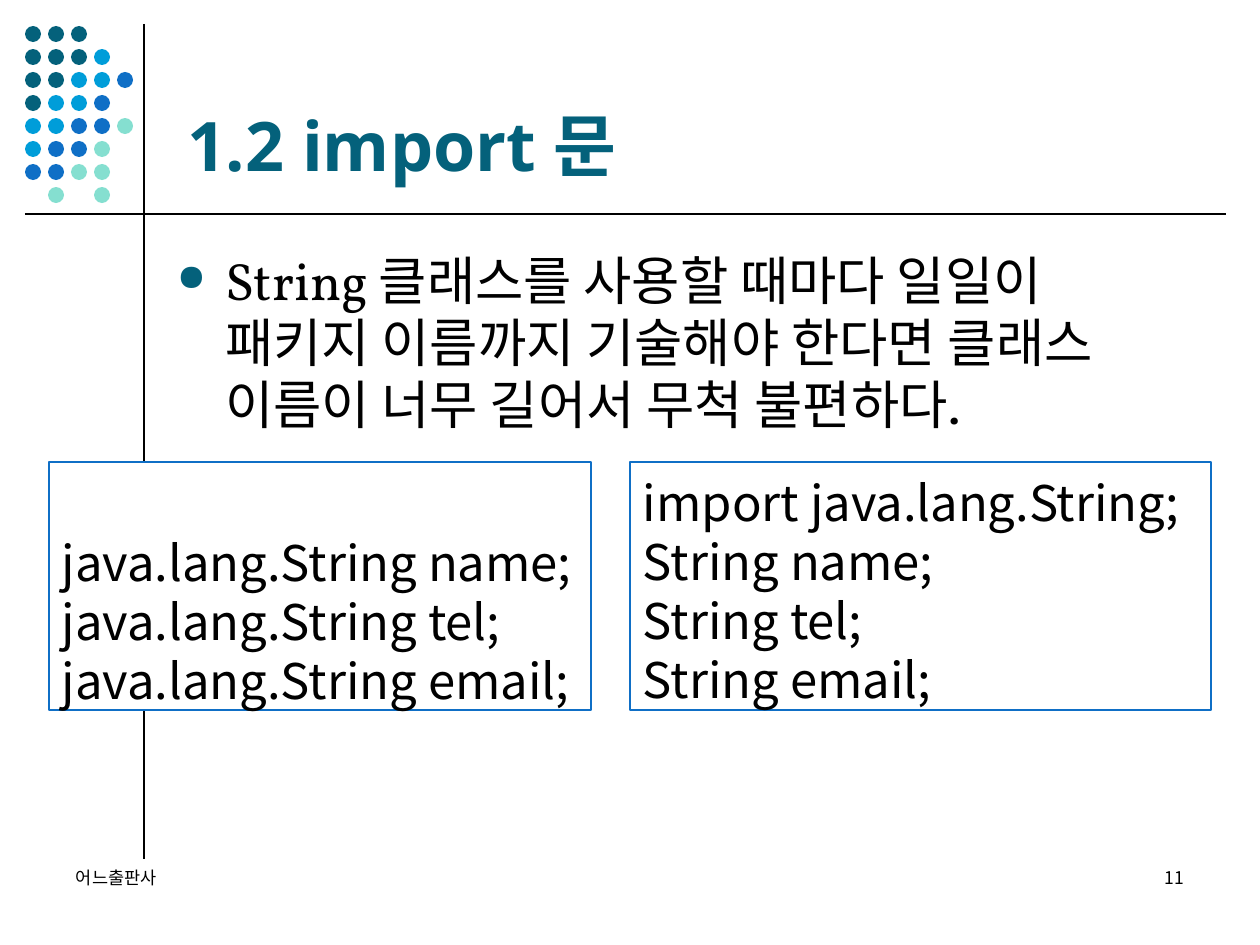
from lxml.etree import SubElement
from pptx import Presentation
from pptx.dml.color import RGBColor as RGB
from pptx.enum.shapes import MSO_CONNECTOR as CONN, MSO_SHAPE as SHAPE
from pptx.enum.text import MSO_ANCHOR as ANCHOR, MSO_AUTO_SIZE as AUTO, PP_ALIGN as ALIGN
from pptx.oxml.ns import qn
from pptx.util import Inches, Pt

COLORS = {
    "teal": "04617B", "sky": "009DD9", "blue": "0F6FC6",
    "mint": "85DFD0", "black": "000000", "white": "FFFFFF",
}
SANS = "Noto Sans CJK KR"
SCALE = Inches(10) / 1260


def px(*values):
    return [round(v * SCALE) for v in values]


def put_text(sp, text, size, font=SANS, color="black", bold=False, align=ALIGN.LEFT,
             anchor=ANCHOR.TOP, spacing=None, before=0, top=6, bottom=6):
    tf = sp.text_frame
    tf.word_wrap = True
    tf.auto_size = AUTO.NONE
    tf.vertical_anchor = anchor
    tf.margin_left, tf.margin_top, tf.margin_right, tf.margin_bottom = px(13, top, 13, bottom)
    for i, line in enumerate(text.split("\n")):
        p = tf.add_paragraph() if i else tf.paragraphs[0]
        p.alignment = align
        p.space_before = Pt(before)
        if spacing:
            p.line_spacing = Pt(spacing)
        r = p.add_run()
        r.text = line
        r.font.size = Pt(size)
        r.font.bold = bold
        r.font.color.rgb = RGB.from_string(COLORS[color])
        r.font.name = font
        SubElement(r._r.get_or_add_rPr(), qn("a:ea"), typeface=SANS)
    return tf


prs = Presentation()
prs.slide_width, prs.slide_height = Inches(10), Inches(7.5)
s = prs.slides.add_slide(prs.slide_layouts[1])

for ends in [(144, 24, 144, 859), (25, 214, 1226, 214)]:
    rule = s.shapes.add_connector(CONN.STRAIGHT, *px(*ends))
    rule.line.color.rgb = RGB.from_string(COLORS["black"])
    rule.line.width = Pt(0.75)
    SubElement(rule._element.spPr, qn("a:effectLst"))

DOT_COLORS = {"t": "teal", "s": "sky", "b": "blue", "m": "mint"}
DOT_ROWS = ["ttt", "ttts", "ttssb", "tssb", "ssbbm", "sbbm", "bbmm", " m m"]
for row, codes in enumerate(DOT_ROWS):
    for col, code in enumerate(codes):
        if code == " ":
            continue
        dot = s.shapes.add_shape(SHAPE.OVAL, *px(25 + 23 * col, 26 + 23 * row, 16, 16))
        dot.shadow.inherit = False
        dot.fill.solid()
        dot.fill.fore_color.rgb = RGB.from_string(COLORS[DOT_COLORS[code]])
        dot.line.fill.background()

title = s.shapes.title
title.left, title.top, title.width, title.height = px(174, 26, 1040, 159)
put_text(title, "1.2 import 문", 39, font="Noto Sans", color="teal", bold=True,
         anchor=ANCHOR.BOTTOM, bottom=0)

body = s.placeholders[1]
body.left, body.top, body.width, body.height = px(164, 237, 1033, 207)
tf = put_text(body, "String 클래스를 사용할 때마다 일일이 패키지 이름까지 기술해야 한다면 "
              "클래스 이름이 너무 길어서 무척 불편하다.", 30, font="Vollkorn",
              spacing=35.5, before=7.5, top=12)
pPr = tf.paragraphs[0]._p.get_or_add_pPr()
indent = px(48)[0]
pPr.set("marL", str(indent))
pPr.set("indent", str(-indent))
SubElement(SubElement(pPr, qn("a:buClr")), qn("a:srgbClr"), val=COLORS["teal"])
SubElement(pPr, qn("a:buSzPct"), val="70000")
SubElement(pPr, qn("a:buFont"), typeface="OpenSymbol")
SubElement(pPr, qn("a:buChar"), char="●")

for left, text, align in [(63, "어느출판사", ALIGN.LEFT), (903, "11", ALIGN.RIGHT)]:
    box = s.shapes.add_textbox(*px(left, 861, 294, 63))
    put_text(box, text, 10, align=align, spacing=12)

FULL_NAMES = "java.lang.String name;\njava.lang.String tel;\njava.lang.String email;"
IMPORTED = "import java.lang.String;\nString name;\nString tel;\nString email;"
for left, width, code, fill, anchor in [
    (49, 542, FULL_NAMES, "white", ANCHOR.BOTTOM),
    (630, 581, IMPORTED, None, ANCHOR.TOP),
]:
    box = s.shapes.add_shape(SHAPE.RECTANGLE, *px(left, 462, width, 248))
    box.shadow.inherit = False
    if fill:
        box.fill.solid()
        box.fill.fore_color.rgb = RGB.from_string(COLORS[fill])
    else:
        box.fill.background()
    box.line.color.rgb = RGB.from_string(COLORS["blue"])
    box.line.width = Pt(0.75)
    put_text(box, code, 28, anchor=anchor, spacing=33.6, top=11, bottom=1)

prs.save("out.pptx")
